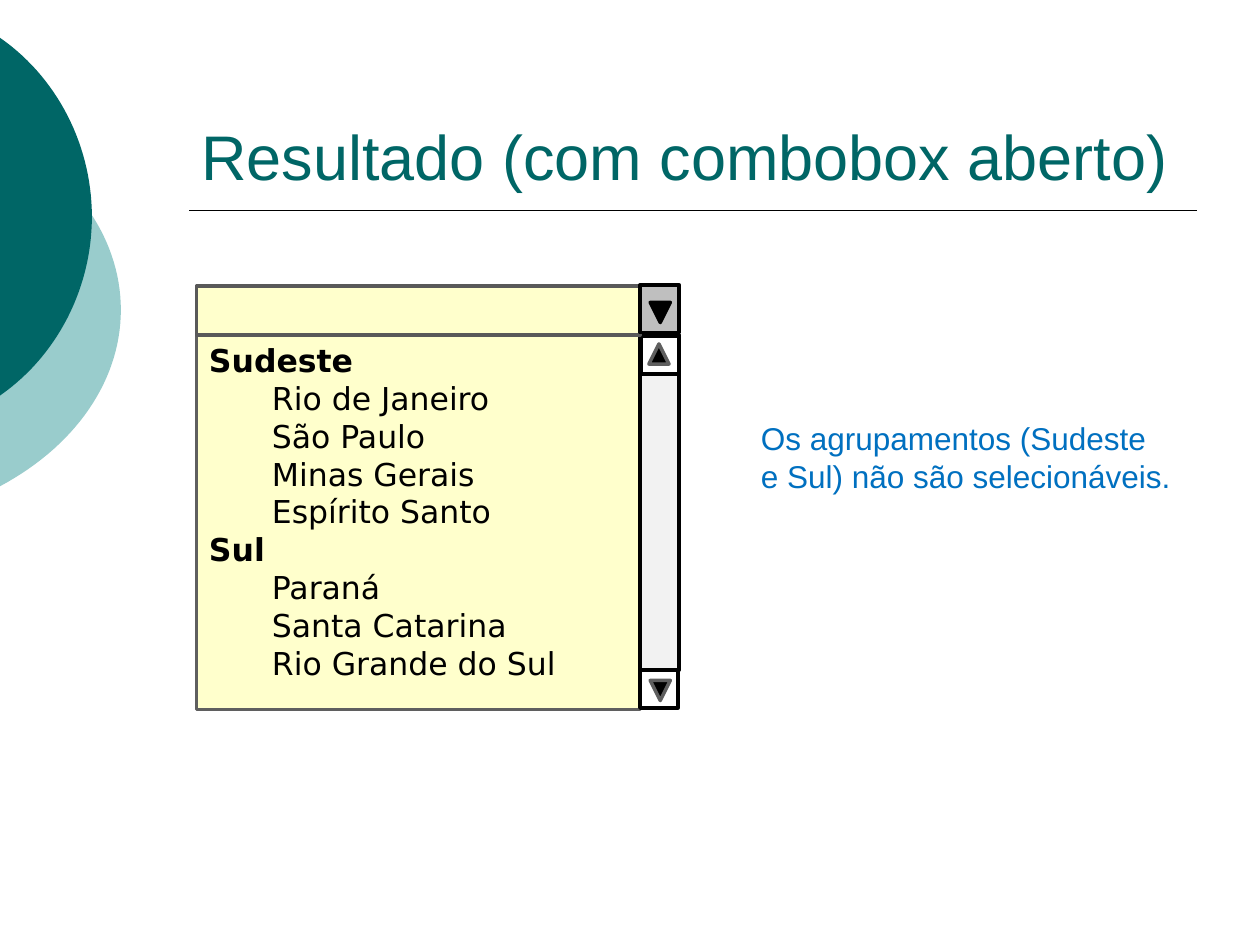
from dataclasses import dataclass
from typing import Optional

from lxml import etree
from pptx import Presentation
from pptx.dml.color import RGBColor
from pptx.enum.shapes import MSO_CONNECTOR, MSO_SHAPE
from pptx.enum.text import MSO_ANCHOR, PP_ALIGN
from pptx.oxml.ns import qn
from pptx.util import Inches, Pt

COLUMNS, ROWS = 100, 75
TEAL, PALE_TEAL, BLACK, WHITE = "006666", "99CCCC", "000000", "FFFFFF"
CREAM, GREY, BLUE = "FFFFCC", "5F5F5F", "0070C0"

REGIONS = {
    "Sudeste": ["Rio de Janeiro", "São Paulo", "Minas Gerais", "Espírito Santo"],
    "Sul": ["Paraná", "Santa Catarina", "Rio Grande do Sul"],
}


@dataclass(frozen=True)
class Part:
    """A combobox part, placed in grid columns and rows."""
    left: float
    top: float
    width: float
    height: float
    fill: str
    line: str = BLACK
    preset: MSO_SHAPE = MSO_SHAPE.RECTANGLE
    rotation: int = 0


@dataclass(frozen=True)
class Disc:
    """A disc cut off by the left slide edge; controls bend its upper half."""
    top: float
    middle: float
    reach: float
    controls: tuple
    fill: str


@dataclass(frozen=True)
class Line:
    text: str
    bold: bool = False
    indent: float = 0


DISCS = [
    Disc(10.6, 24.6, 9.6, ((6, 13.8), (9.6, 19)), PALE_TEAL),
    Disc(3, 17.2, 7.3, ((4.6, 6.2), (7.3, 11.6)), TEAL),
]


def arrow(left: float, top: float, line: str, down: bool) -> Part:
    return Part(left, top, 1.6, 1.6, BLACK, line,
                MSO_SHAPE.ISOSCELES_TRIANGLE, 180 if down else 0)


OPTION_LIST = Part(15.6, 26.6, 35.2, 29.7, CREAM, GREY)
CONTROLS = [
    Part(50.8, 26.6, 3.1, 26.6, "F2F2F2"),
    Part(50.9, 26.7, 3, 3, WHITE),
    Part(50.8, 53.2, 3, 3, WHITE),
    arrow(51.5, 27.3, GREY, down=False),
    arrow(51.6, 54, GREY, down=True),
    Part(15.6, 22.7, 35.2, 3.9, CREAM, "595959"),
    Part(50.8, 22.6, 3.1, 3.8, "BFBFBF"),
    arrow(51.6, 24, BLACK, down=True),
]

prs = Presentation()
prs.slide_width, prs.slide_height = Inches(10), Inches(7.5)
slide = prs.slides.add_slide(prs.slide_layouts[6])


def x(columns: float) -> int:
    return round(prs.slide_width * columns / COLUMNS)


def y(rows: float) -> int:
    return round(prs.slide_height * rows / ROWS)


def color(hex_code: str) -> RGBColor:
    return RGBColor.from_string(hex_code)


def paint(shape, fill: str, line: Optional[str] = None) -> None:
    shape.shadow.inherit = False
    shape.fill.solid()
    shape.fill.fore_color.rgb = color(fill)
    if line:
        shape.line.color.rgb = color(line)
        shape.line.width = Pt(2)
    else:
        shape.line.fill.background()


def draw_disc(disc: Disc, steps: int = 30) -> None:
    (x1, y1), (x2, y2) = disc.controls
    upper = []
    for step in range(steps + 1):
        t = step / steps
        a, b, c, d = (1 - t) ** 3, 3 * t * (1 - t) ** 2, 3 * t * t * (1 - t), t ** 3
        upper.append((b * x1 + c * x2 + d * disc.reach,
                      a * disc.top + b * y1 + c * y2 + d * disc.middle))
    lower = [(px, 2 * disc.middle - py) for px, py in reversed(upper[:-1])]
    start, *rest = [(x(px), y(py)) for px, py in upper + lower]
    outline = slide.shapes.build_freeform(*start)
    outline.add_line_segments(rest, close=True)
    paint(outline.convert_to_shape(), disc.fill)


def draw_part(part: Part):
    shape = slide.shapes.add_shape(part.preset, x(part.left), y(part.top),
                                   x(part.width), y(part.height))
    shape.rotation = part.rotation
    paint(shape, part.fill, part.line)
    return shape


def write(frame, lines: list[Line], font: str, size: int, ink: str) -> None:
    for number, line in enumerate(lines):
        paragraph = frame.add_paragraph() if number else frame.paragraphs[0]
        paragraph.text = line.text
        paragraph.alignment = PP_ALIGN.LEFT
        if line.indent:
            paragraph._p.get_or_add_pPr().set("marL", str(x(line.indent)))
        paragraph.font.name = font
        paragraph.font.size = Pt(size)
        paragraph.font.bold = line.bold
        paragraph.font.color.rgb = color(ink)


def add_text(left: float, top: float, width: float, height: float):
    return slide.shapes.add_textbox(x(left), y(top), x(width), y(height)).text_frame


def draw_title_rule() -> None:
    rule = slide.shapes.add_connector(MSO_CONNECTOR.STRAIGHT,
                                      x(15), y(16.7), x(95), y(16.7))
    rule.line.color.rgb = color(BLACK)
    rule.line.width = Pt(1)
    etree.SubElement(rule._element.spPr, qn("a:effectLst"))


def main() -> None:
    for disc in DISCS:
        draw_disc(disc)
    draw_title_rule()

    title = add_text(15, 3.3, 80, 12.5)
    title.word_wrap = True
    title.vertical_anchor = MSO_ANCHOR.BOTTOM
    write(title, [Line("Resultado (com combobox aberto)")], "Arial", 36, TEAL)

    options = draw_part(OPTION_LIST).text_frame
    options.vertical_anchor = MSO_ANCHOR.TOP
    entries = []
    for region, states in REGIONS.items():
        entries.append(Line(region, bold=True))
        entries += [Line(state, indent=5) for state in states]
    write(options, entries, "DejaVu Sans", 18, BLACK)

    for part in CONTROLS:
        draw_part(part)

    remark = add_text(59.4, 32.8, 34.8, 7.1)
    remark.word_wrap = False
    write(remark, [Line("Os agrupamentos (Sudeste"),
                   Line("e Sul) não são selecionáveis.")], "Arial", 18, BLUE)

    prs.save("out.pptx")


if __name__ == "__main__":
    main()
